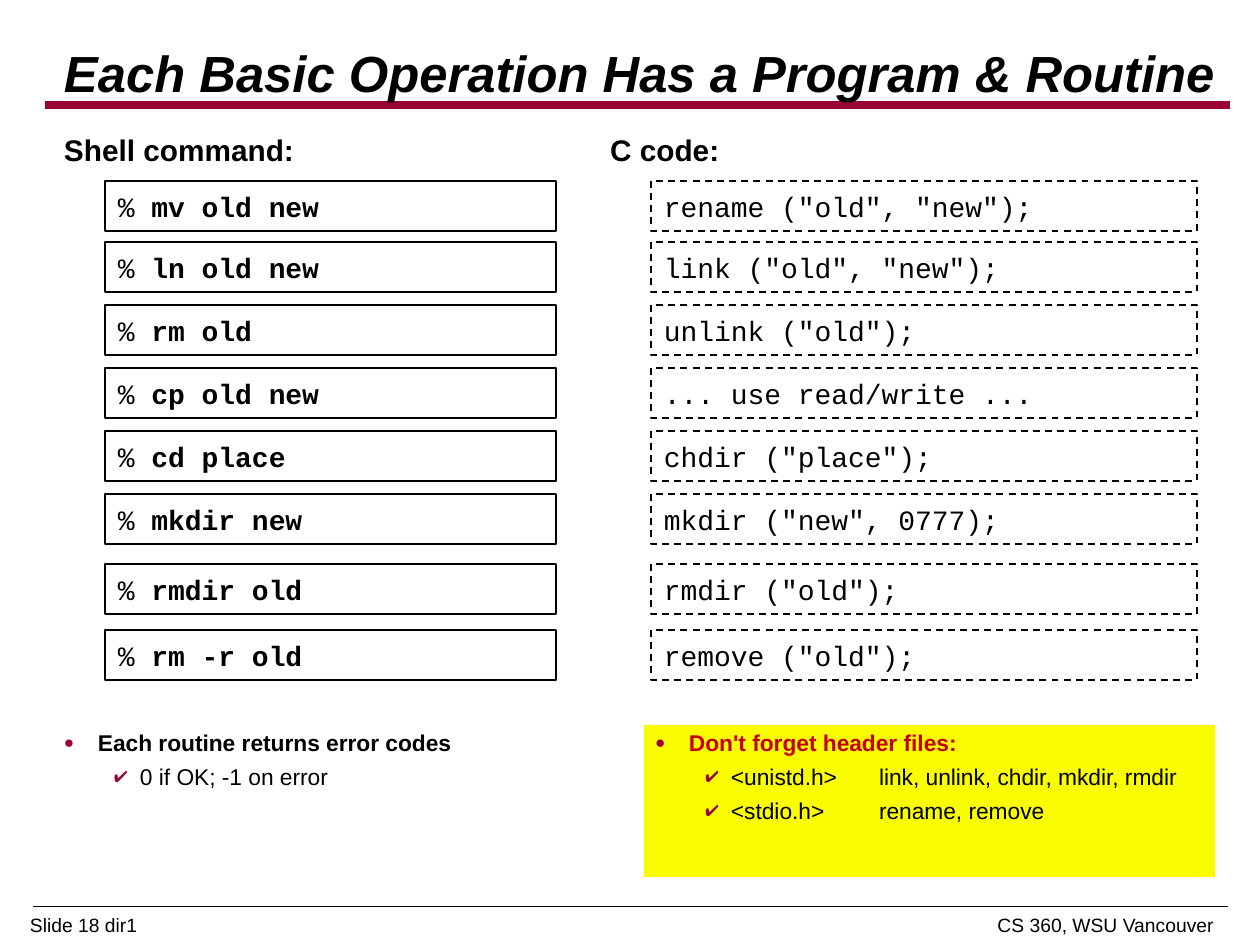
from dataclasses import dataclass

from lxml.etree import SubElement
from pptx import Presentation
from pptx.dml.color import RGBColor
from pptx.enum.dml import MSO_LINE
from pptx.enum.shapes import MSO_CONNECTOR, MSO_SHAPE
from pptx.enum.text import MSO_ANCHOR, MSO_AUTO_SIZE, PP_ALIGN
from pptx.oxml.ns import qn
from pptx.util import Pt


@dataclass(frozen=True)
class Theme:
    ink: str = "000000"
    accent: str = "990033"
    warning: str = "C50000"
    highlight: str = "FAFD00"
    sans: str = "Arial"
    mono: str = "Courier New"
    title: int = 29
    heading: int = 17
    code: int = 16
    body: int = 13
    footer: int = 11


THEME = Theme()
EMU_PER_PX = 914400 / 126
ROW_TOPS = (55, 116, 179, 242, 305, 368, 438, 504)
ROW_HEIGHT = 50
CODE_INDENT = 52
OPERATIONS = (
    ("mv old new", 'rename ("old", "new");'),
    ("ln old new", 'link ("old", "new");'),
    ("rm old", 'unlink ("old");'),
    ("cp old new", "... use read/write ..."),
    ("cd place", 'chdir ("place");'),
    ("mkdir new", 'mkdir ("new", 0777);'),
    ("rmdir old", 'rmdir ("old");'),
    ("rm -r old", 'remove ("old");'),
)


def px(length):
    return round(length * EMU_PER_PX)


def color(value):
    return RGBColor.from_string(value)


def style_run(run, size, name=THEME.sans, ink=THEME.ink, bold=False, italic=False):
    font = run.font
    font.name, font.size = name, Pt(size)
    font.bold, font.italic = bold, italic
    font.color.rgb = color(ink)


def set_frame(text_frame, horizontal=11, vertical=6, anchor=MSO_ANCHOR.TOP, wrap=True):
    text_frame.margin_left = text_frame.margin_right = px(horizontal)
    text_frame.margin_top = text_frame.margin_bottom = px(vertical)
    text_frame.vertical_anchor = anchor
    text_frame.word_wrap = wrap


def add_label(slide, box, text, size, spacing=1.0, align=PP_ALIGN.LEFT,
              bold=False, italic=False, **frame):
    shape = slide.shapes.add_textbox(*map(px, box))
    set_frame(shape.text_frame, **frame)
    paragraph = shape.text_frame.paragraphs[0]
    paragraph.text = text
    paragraph.alignment = align
    paragraph.line_spacing = spacing
    style_run(paragraph.runs[0], size, bold=bold, italic=italic)
    return shape


def add_rule(slide, left, right, y, width, ink):
    rule = slide.shapes.add_connector(
        MSO_CONNECTOR.STRAIGHT, px(left), px(y), px(right), px(y))
    rule.line.width = Pt(width)
    rule.line.color.rgb = color(ink)
    SubElement(rule.element.spPr, qn("a:effectLst"))


def add_title(slide, box, text):
    left, top, width, height = box
    add_rule(slide, left - 8, left + width - 29, top + 66, 4.5, THEME.accent)
    add_label(slide, box, text, THEME.title, spacing=0.87, bold=True, italic=True,
              anchor=MSO_ANCHOR.MIDDLE)


def add_footer(slide, box, left_text, right_text):
    left, top, width, height = box
    add_rule(slide, left + 3, left + width + 13, top - 9, 0.25, THEME.ink)
    half = width // 2
    for x, text, align in ((left, left_text, PP_ALIGN.LEFT),
                           (left + half, right_text, PP_ALIGN.RIGHT)):
        add_label(slide, (x, top, half, height), text, THEME.footer, spacing=0.96,
                  align=align, horizontal=0, vertical=0)


def add_code_box(slide, box, parts, dashed):
    shape = slide.shapes.add_shape(MSO_SHAPE.RECTANGLE, *map(px, box))
    shape.shadow.inherit = False
    shape.fill.background()
    shape.line.color.rgb = color(THEME.ink)
    shape.line.width = Pt(1)
    if dashed:
        shape.line.dash_style = MSO_LINE.DASH
    set_frame(shape.text_frame, horizontal=13, anchor=MSO_ANCHOR.MIDDLE)
    paragraph = shape.text_frame.paragraphs[0]
    paragraph.alignment = PP_ALIGN.LEFT
    for text, bold in parts:
        run = paragraph.add_run()
        run.text = text
        style_run(run, THEME.code, name=THEME.mono, bold=bold)


def add_code_column(slide, box, heading, heading_width, rows, dashed=False):
    left, top, width, height = box
    label = add_label(slide, (left, top, heading_width, 48), heading, THEME.heading,
                      bold=True, wrap=False)
    label.text_frame.auto_size = MSO_AUTO_SIZE.SHAPE_TO_FIT_TEXT
    for row_top, parts in zip(ROW_TOPS, rows):
        row = (left + CODE_INDENT, top + row_top, width - CODE_INDENT, ROW_HEIGHT)
        add_code_box(slide, row, parts, dashed)


def add_bullet(paragraph, character, percent, margin, hanging):
    properties = paragraph._p.get_or_add_pPr()
    properties.set("marL", str(px(margin)))
    properties.set("indent", str(-px(hanging)))
    bullet_color = SubElement(properties, qn("a:buClr"))
    SubElement(bullet_color, qn("a:srgbClr"), val=THEME.accent)
    SubElement(properties, qn("a:buSzPct"), val=str(percent * 1000))
    SubElement(properties, qn("a:buFont"), typeface=THEME.sans)
    SubElement(properties, qn("a:buChar"), char=character)
    tabs = SubElement(properties, qn("a:tabLst"))
    SubElement(tabs, qn("a:tab"), pos=str(px(224)), algn="l")


def add_notes_panel(slide, box, heading, items, heading_ink=THEME.ink, fill=None):
    shape = slide.shapes.add_textbox(*map(px, box))
    if fill:
        shape.fill.solid()
        shape.fill.fore_color.rgb = color(fill)
    text_frame = shape.text_frame
    set_frame(text_frame)
    for index, text in enumerate((heading, *items)):
        if index == 0:
            paragraph = text_frame.paragraphs[0]
            add_bullet(paragraph, "●", 75, 34, 34)
        else:
            paragraph = text_frame.add_paragraph()
            paragraph.level = 1
            add_bullet(paragraph, "✔", 70, 76, 26)
            paragraph.space_before = Pt(4.9)
        paragraph.line_spacing = 0.93
        paragraph.text = text
        for run in paragraph.runs:
            style_run(run, THEME.body, bold=index == 0,
                      ink=THEME.ink if index else heading_ink)


def main():
    presentation = Presentation()
    presentation.slide_width, presentation.slide_height = px(1260), px(945)
    slide = presentation.slides.add_slide(presentation.slide_layouts[6])
    add_footer(slide, (30, 915, 1185, 30), "Slide 18 dir1", "CS 360, WSU Vancouver")
    add_title(slide, (53, 39, 1206, 76), "Each Basic Operation Has a Program & Routine")
    commands = [(("% ", False), (command, True)) for command, _ in OPERATIONS]
    routines = [((routine, False),) for _, routine in OPERATIONS]
    add_code_column(slide, (53, 126, 503, 554), "Shell command:", 253, commands)
    add_code_column(slide, (599, 126, 598, 554), "C code:", 132, routines, dashed=True)
    add_notes_panel(slide, (53, 725, 571, 152), "Each routine returns error codes",
                    ["0 if OK; -1 on error"])
    add_notes_panel(slide, (644, 725, 571, 152), "Don't forget header files:",
                    ["<unistd.h>\tlink, unlink, chdir, mkdir, rmdir",
                     "<stdio.h>\trename, remove"],
                    heading_ink=THEME.warning, fill=THEME.highlight)
    presentation.save("out.pptx")


if __name__ == "__main__":
    main()
